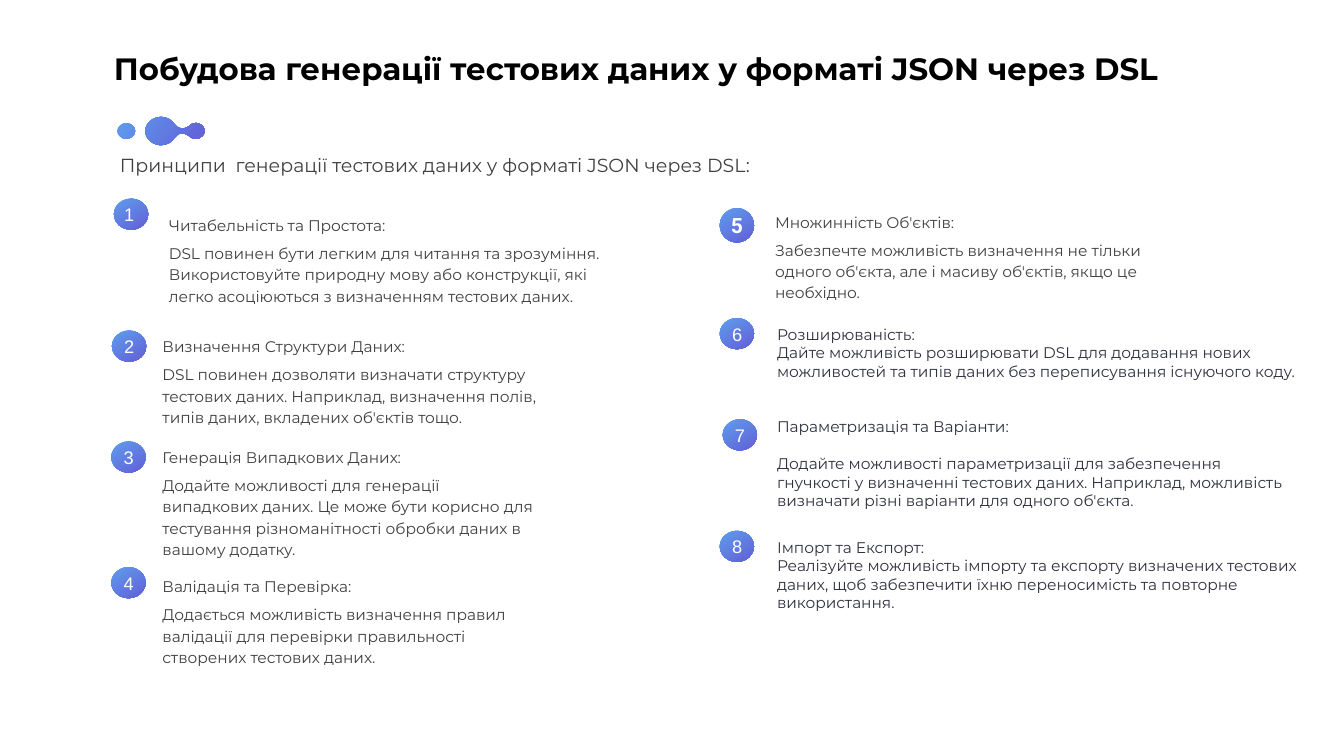
from dataclasses import dataclass

from lxml.etree import SubElement
from pptx import Presentation
from pptx.dml.color import RGBColor
from pptx.enum.shapes import MSO_SHAPE
from pptx.enum.text import MSO_ANCHOR, MSO_AUTO_SIZE, PP_ALIGN
from pptx.oxml.ns import qn
from pptx.util import Cm, Pt

GREY, SLATE, WHITE, BLACK = "404040", "2F313F", "FFFFFF", "000000"
GRADIENT = ("5E9EEE", "635ED6")
BADGE_WIDTH, BADGE_HEIGHT = 1.73, 1.57
NUMBER_WIDTH, NUMBER_HEIGHT = 1.45, 1.4
LEFT_TEXT, RIGHT_TEXT = 8.04, 38.91
NARROW = 19.15


@dataclass(frozen=True)
class Principle:
    number: int
    badge: tuple[float, float]
    box: tuple[float, float, float, float]
    heading: str
    body: str
    spaced: bool = True
    gap: float = 0
    number_offset: float = 0.15


PRINCIPLES = [
    Principle(1, (5.74, 10.01), (8.36, 10.11, 22.23, 5.92), "Читабельність та Простота:",
              "DSL повинен бути легким для читання та зрозуміння. Використовуйте природну мову "
              "або конструкції, які легко асоціюються з визначенням тестових даних.",
              number_offset=0.05),
    Principle(2, (5.64, 16.66), (LEFT_TEXT, 16.76, NARROW, 4.83), "Визначення Структури Даних:",
              "DSL повинен дозволяти визначати структуру тестових даних. Наприклад, визначення "
              "полів, типів даних, вкладених об'єктів тощо."),
    Principle(3, (5.61, 22.25), (LEFT_TEXT, 22.33, NARROW, 5.92), "Генерація Випадкових Даних:",
              "Додайте можливості для генерації випадкових даних. Це може бути корисно для "
              "тестування різноманітності обробки даних в вашому додатку."),
    Principle(4, (5.61, 28.58), (LEFT_TEXT, 28.85, NARROW, 4.83), "Валідація та Перевірка:",
              "Додається можливість визначення правил валідації для перевірки правильності "
              "створених тестових даних."),
    Principle(5, (36.27, 10.49), (RIGHT_TEXT, 10.49, NARROW, 4.83), "Множинність Об'єктів:",
              "Забезпечте можливість визначення не тільки одного об'єкта, але і масиву об'єктів, "
              "якщо це необхідно."),
    Principle(6, (36.27, 16.03), (RIGHT_TEXT, 16.13, 27, 4.27), "Розширюваність:",
              "Дайте можливість розширювати DSL для додавання нових можливостей та типів даних "
              "без переписування існуючого коду.", spaced=False),
    Principle(7, (36.42, 21.13), (RIGHT_TEXT, 20.78, 26.29, 5.21),
              "Параметризація та Варіанти:",
              "Додайте можливості параметризації для забезпечення гнучкості у визначенні тестових "
              "даних. Наприклад, можливість визначати різні варіанти для одного об'єкта.",
              spaced=False, gap=26.5),
    Principle(8, (36.27, 26.75), (RIGHT_TEXT, 26.85, 27, 4.27), "Імпорт та Експорт:",
              "Реалізуйте можливість імпорту та експорту визначених тестових даних, щоб "
              "забезпечити їхню переносимість та повторне використання.", spaced=False),
]

# Bézier outlines in centimetres: a start, then two control points and an end per curve.
DROPS = [
    (8.13, 5.89),
    (7.7, 5.89), (7.32, 6.2), (7.32, 6.6),
    (7.32, 6.99), (7.67, 7.29), (8.08, 7.32),
    (8.38, 7.32), (8.66, 7.19), (8.81, 6.93),
    (8.89, 6.83), (8.97, 6.78), (9.07, 6.73),
    (9.25, 6.71), (9.42, 6.76), (9.53, 6.86),
    (9.8, 7.14), (10.29, 6.99), (10.31, 6.6),
    (10.31, 6.22), (9.78, 6.05), (9.53, 6.35),
    (9.42, 6.43), (9.3, 6.48), (9.17, 6.48),
    (9.02, 6.48), (8.86, 6.38), (8.79, 6.25),
    (8.66, 6.05), (8.41, 5.89), (8.13, 5.89),
]
DOT = [
    (6.35, 6.2),
    (6.25, 6.2), (6.15, 6.25), (6.05, 6.32),
    (5.87, 6.48), (5.87, 6.73), (6.05, 6.88),
    (6.22, 7.04), (6.5, 7.04), (6.68, 6.88),
    (6.86, 6.73), (6.86, 6.48), (6.68, 6.32),
    (6.58, 6.25), (6.48, 6.2), (6.35, 6.2),
]


def color(value: str) -> RGBColor:
    return RGBColor.from_string(value)


def place(shape, left: float, top: float, width: float, height: float) -> None:
    shape.left, shape.top, shape.width, shape.height = map(Cm, (left, top, width, height))


def write_text(frame, *texts: str, size: float, fill: str, font: str = "Montserrat",
               bold: bool = False, align=PP_ALIGN.LEFT, anchor=MSO_ANCHOR.MIDDLE,
               inset: float = 0.15, line_spacing: float = 1.0, before: float = 0,
               gap: float = 0, grow: bool = True) -> None:
    """Write one paragraph per text; gap is extra space after the first one."""
    frame.word_wrap = True
    frame.auto_size = MSO_AUTO_SIZE.SHAPE_TO_FIT_TEXT if grow else MSO_AUTO_SIZE.NONE
    frame.vertical_anchor = anchor
    frame.margin_left = frame.margin_right = Cm(inset)
    frame.margin_top = frame.margin_bottom = Cm(inset)
    for index, text in enumerate(texts):
        paragraph = frame.add_paragraph() if index else frame.paragraphs[0]
        paragraph.alignment = align
        paragraph.line_spacing = line_spacing
        paragraph.space_before = Pt(before + (gap if index else 0))
        run = paragraph.add_run()
        run.text = text
        run.font.name = font
        run.font.size = Pt(size)
        run.font.bold = bold
        run.font.color.rgb = color(fill)


def paint_gradient(shape, angle: float) -> None:
    """Fill without outline or shadow; the angle runs clockwise."""
    shape.shadow.inherit = False
    shape.line.fill.background()
    shape.fill.gradient()
    shape.fill.gradient_angle = 360 - angle
    for stop, value in zip(shape.fill.gradient_stops, GRADIENT):
        stop.color.rgb = color(value)


def add_text(slide, box: tuple[float, float, float, float], *texts: str, **text_format) -> None:
    text_box = slide.shapes.add_textbox(*map(Cm, box))
    write_text(text_box.text_frame, *texts, **text_format)


def add_badge(slide, principle: Principle) -> None:
    """Draw the numbered oval; the fifth is a round one with a bold number inside."""
    left, top = principle.badge
    highlighted = principle.number == 5
    height = BADGE_WIDTH if highlighted else BADGE_HEIGHT
    badge = slide.shapes.add_shape(MSO_SHAPE.OVAL, *map(Cm, (left, top, BADGE_WIDTH, height)))
    paint_gradient(badge, 57)
    number_format = dict(fill=WHITE, align=PP_ALIGN.CENTER)
    if highlighted:
        write_text(badge.text_frame, str(principle.number), size=30, font="Roboto", bold=True,
                   inset=0, grow=False, **number_format)
    else:
        box = (left + principle.number_offset, top + 0.1, NUMBER_WIDTH, NUMBER_HEIGHT)
        add_text(slide, box, str(principle.number), size=26, font="Arial", **number_format)


def add_principle(slide, principle: Principle) -> None:
    add_badge(slide, principle)
    if principle.spaced:
        layout = dict(fill=GREY, line_spacing=1.15, before=10)
    else:
        layout = dict(fill=SLATE, anchor=MSO_ANCHOR.TOP, inset=0.25)
    add_text(slide, principle.box, principle.heading, principle.body, size=22,
             gap=principle.gap, **layout)


def bend_lines(shape) -> None:
    """Turn every three line segments of a freeform into one Bézier curve."""
    lines = list(shape.element.iter(qn("a:lnTo")))
    for first, second, end in zip(lines[::3], lines[1::3], lines[2::3]):
        curve = SubElement(first.getparent(), qn("a:cubicBezTo"))
        first.addprevious(curve)
        for line in (first, second, end):
            curve.append(line[0])
            line.getparent().remove(line)


def add_ornament(slide) -> None:
    """Draw the linked drops and the separate dot as one gradient outline."""
    units = 1000
    drops, dot = ([(x * units, y * units) for x, y in outline] for outline in (DROPS, DOT))
    builder = slide.shapes.build_freeform(*drops[0], scale=Cm(1) / units)
    builder.add_line_segments(drops[1:], close=True)
    builder.move_to(*dot[0])
    builder.add_line_segments(dot[1:], close=True)
    ornament = builder.convert_to_shape()
    bend_lines(ornament)
    paint_gradient(ornament, 34)


def main() -> None:
    presentation = Presentation()
    presentation.slide_width, presentation.slide_height = Cm(67.73), Cm(38.1)
    slide = presentation.slides.add_slide(presentation.slide_layouts[5])

    title = slide.shapes.title
    place(title, 5.59, 2.34, 54.91, 2.16)
    write_text(title.text_frame, "Побудова генерації тестових даних у форматі JSON через DSL",
               size=44, fill=BLACK, bold=True)
    add_ornament(slide)
    add_text(slide, (5.79, 7.34, 50.9, 2.44),
             "Принципи  генерації тестових даних у форматі JSON через DSL:",
             size=27, fill=GREY, anchor=MSO_ANCHOR.TOP, inset=0.25, line_spacing=1.15, before=10)
    for principle in PRINCIPLES:
        add_principle(slide, principle)
    presentation.save("out.pptx")


if __name__ == "__main__":
    main()
